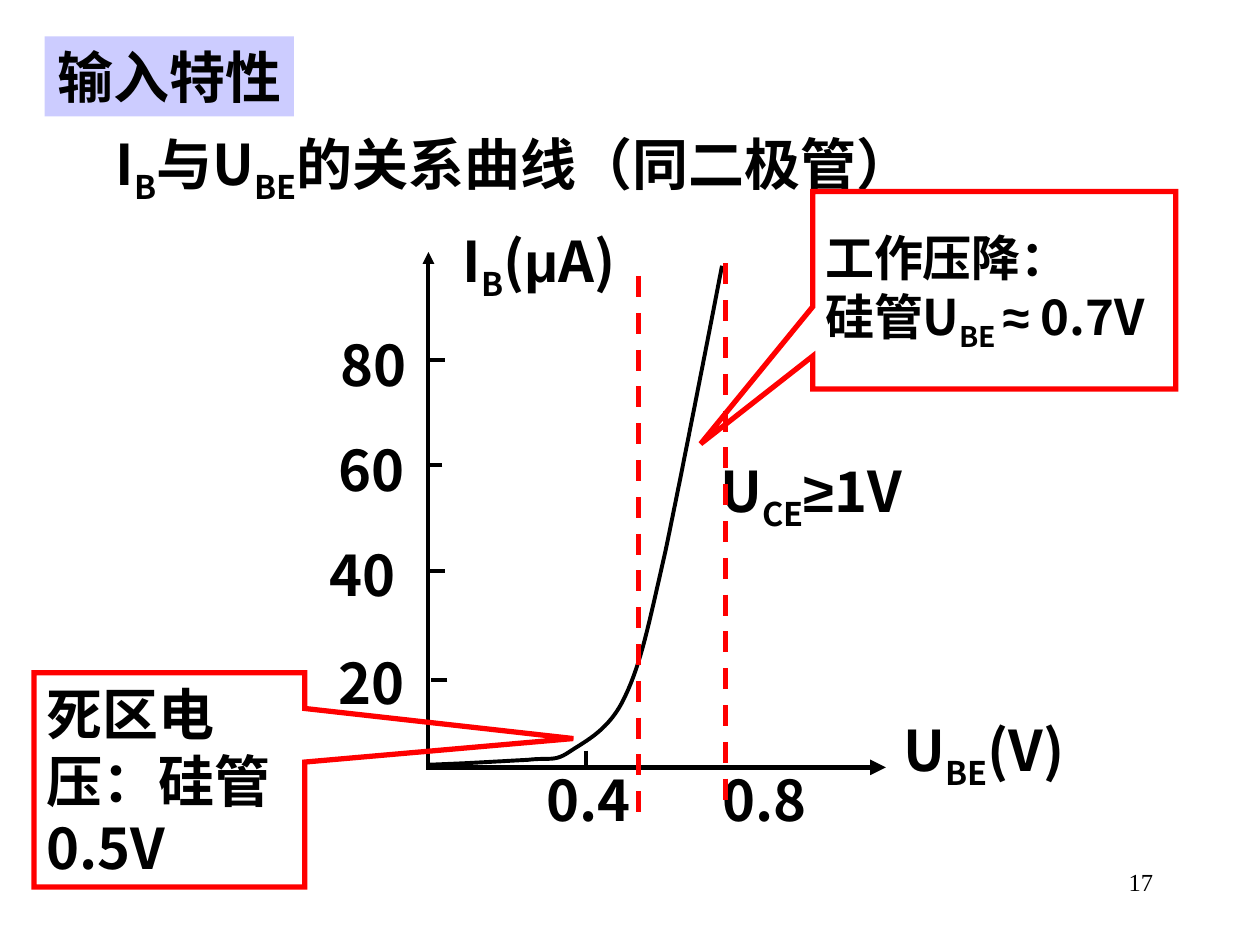
from lxml import etree
from pptx import Presentation
from pptx.dml.color import RGBColor
from pptx.enum import dml, shapes, text
from pptx.oxml.ns import qn
from pptx.util import Pt

BLACK = RGBColor(0x00, 0x00, 0x00)
RED = RGBColor(0xFF, 0x00, 0x00)
LAVENDER = RGBColor(0xCC, 0xCC, 0xFF)
SANS, ARIAL, SERIF = "Noto Sans CJK SC", "Arial", "Times New Roman"
LEFT, CENTER, RIGHT = text.PP_ALIGN.LEFT, text.PP_ALIGN.CENTER, text.PP_ALIGN.RIGHT
TOP, MIDDLE = text.MSO_ANCHOR.TOP, text.MSO_ANCHOR.MIDDLE
SUB = "sub"


def write(shape, paragraphs, size=32, align=CENTER, anchor=MIDDLE, wrap=False, bold=True,
          side=7.2):
    """Each paragraph is a list of runs: (words, font[, SUB])."""
    frame = shape.text_frame
    frame.auto_size = text.MSO_AUTO_SIZE.NONE
    frame.word_wrap = wrap
    frame.vertical_anchor = anchor
    frame.margin_left = frame.margin_right = Pt(side)
    frame.margin_top = frame.margin_bottom = Pt(3.6)
    for i, runs in enumerate(paragraphs):
        paragraph = frame.add_paragraph() if i else frame.paragraphs[0]
        paragraph.alignment = align
        # Keep punctuation inside the text area
        paragraph._p.get_or_add_pPr().set("hangingPunct", "0")
        for words, font, *position in runs:
            run = paragraph.add_run()
            run.text = words
            run.font.size, run.font.bold, run.font.name = Pt(size), bold, font
            run.font.color.rgb = BLACK
            properties = run.font._element
            etree.SubElement(properties, qn("a:ea"), typeface=SANS)
            if SUB in position:
                properties.set("baseline", "-25000")


def draw_line(x1, y1, x2, y2, width=2.25, color=BLACK, arrow=False, dashed=False):
    line = slide.shapes.add_connector(
        shapes.MSO_CONNECTOR.STRAIGHT, Pt(x1), Pt(y1), Pt(x2), Pt(y2))
    line.line.width = Pt(width)
    line.line.color.rgb = color
    if dashed:
        line.line.dash_style = dml.MSO_LINE.DASH
    if arrow:
        etree.SubElement(line.line._get_or_add_ln(), qn("a:tailEnd"), type="triangle")
    etree.SubElement(line._element.spPr, qn("a:effectLst"))


prs = Presentation()
prs.slide_width, prs.slide_height = Pt(720), Pt(540)
slide = prs.slides.add_slide(prs.slide_layouts[5])

# Title
title = slide.shapes.title
title.left, title.top, title.width, title.height = Pt(25.5), Pt(20.75), Pt(142.5), Pt(45.75)
title.fill.solid()
title.fill.fore_color.rgb = LAVENDER
write(title, [[("输入特性", SERIF)]], side=2)

# Axes
AXIS_X, AXIS_Y = 244.8, 438.5
draw_line(AXIS_X, 440, AXIS_X, 144, arrow=True)
draw_line(AXIS_X, AXIS_Y, 506.2, AXIS_Y, width=3, arrow=True)
draw_line(334.8, 429, 334.8, AXIS_Y)

# Current ticks and their labels
labels = []
for value, tick_x, tick_y, label_x, label_y in [
        ("20", 246.2, 388.8, 185.8, 366.5), ("40", 244.8, 326.2, 180.7, 305.3),
        ("60", 243.4, 265.7, 185.8, 244.8), ("80", 244.8, 205.9, 187.2, 185)]:
    draw_line(tick_x + 9.4, tick_y, tick_x, tick_y)
    labels.append((label_x, label_y, 52.6, 46, [(value, SANS)]))

# Voltage, axis and condition labels
labels += [
    (300.2, 433.4, 72, 46, [("0.4", SANS)]),
    (401, 433.4, 72, 46, [("0.8", SANS)]),
    (254.2, 106.6, 108, 89.3,
     [("I", SANS), ("B", SANS, SUB), ("(", SANS), ("μ", ARIAL), ("A)", SANS)]),
    (505.4, 405.4, 113.8, 51, [("U", SANS), ("BE", SANS, SUB), ("(V)", SANS)]),
    (403.9, 257, 119.5, 51,
     [("U", SANS), ("CE", SANS, SUB), ("≥", ARIAL), ("1V", SANS)]),
]
for x, y, w, h, runs in labels:
    write(slide.shapes.add_textbox(Pt(x), Pt(y), Pt(w), Pt(h)), [runs])

# Input characteristic, sampled from Bézier segments
start = (244.8, 437)
segments = [
    ((266.4, 436.3), (288, 434.9), (301.7, 434.2)),
    ((315.4, 432.7), (316.8, 435.6), (326.2, 429.1)),
    ((334.8, 423.4), (348.5, 416.9), (357.1, 398.2)),
    ((366.5, 378.7), (370.8, 356.4), (380.2, 315.4)),
    ((388.8, 274.3), (406.1, 185.8), (412.6, 151.9)),
]
STEPS = 16
curve = slide.shapes.build_freeform(Pt(start[0]), Pt(start[1]))
points = []
for control_1, control_2, end in segments:
    for t in (step / STEPS for step in range(1, STEPS + 1)):
        points.append(tuple(
            Pt((1 - t) ** 3 * a + 3 * (1 - t) ** 2 * t * b + 3 * (1 - t) * t ** 2 * c + t ** 3 * d)
            for a, b, c, d in zip(start, control_1, control_2, end)))
    start = end
curve.add_line_segments(points, close=False)
characteristic = curve.convert_to_shape()
characteristic.shadow.inherit = False
characteristic.fill.background()
characteristic.line.color.rgb = BLACK
characteristic.line.width = Pt(2.25)

# Dead-zone and working voltage markers
for x, y in [(365, 157.7), (414.7, 150.5)]:
    draw_line(x, y, x, y + 307.4, width=3, color=RED, dashed=True)

# Subtitle
subtitle = slide.shapes.add_textbox(Pt(51.1), Pt(70.6), Pt(524.2), Pt(51.1))
write(subtitle, [[(" ", SERIF), ("I", SANS), ("B", SANS, SUB), ("与U", SANS),
                  ("BE", SANS, SUB), ("的关系曲线（同二极管）", SANS)]],
      align=LEFT, anchor=TOP, wrap=True)

# Callouts
dead_zone = [[("死区电压：硅管0.5V", SANS)]]
working_drop = [
    [("工作压降：", SANS)],
    [("硅管U", SANS), ("BE ", SANS, SUB), ("≈", ARIAL), (" 0.7V", SANS)],
]
for x, y, w, h, pointer, size, paragraphs in [
        (19.4, 384.5, 154.8, 122.4, (1.491, -0.193), 32, dead_zone),
        (464.4, 109.4, 207.4, 113, (-0.809, 0.777), 28, working_drop)]:
    callout = slide.shapes.add_shape(
        shapes.MSO_SHAPE.RECTANGULAR_CALLOUT, Pt(x), Pt(y), Pt(w), Pt(h))
    callout.adjustments[0], callout.adjustments[1] = pointer
    callout.shadow.inherit = False
    callout.fill.background()
    callout.line.color.rgb = RED
    callout.line.width = Pt(3)
    etree.SubElement(callout.line._get_or_add_ln(), qn("a:miter"), lim="800000")
    write(callout, paragraphs, size=size, align=LEFT, wrap=True)

# Page number
page = slide.shapes.add_textbox(Pt(516.2), Pt(491.8), Pt(149.8), Pt(36))
write(page, [[("17", SERIF)]], size=14, align=RIGHT, anchor=TOP, wrap=True, bold=False)

prs.save("out.pptx")
